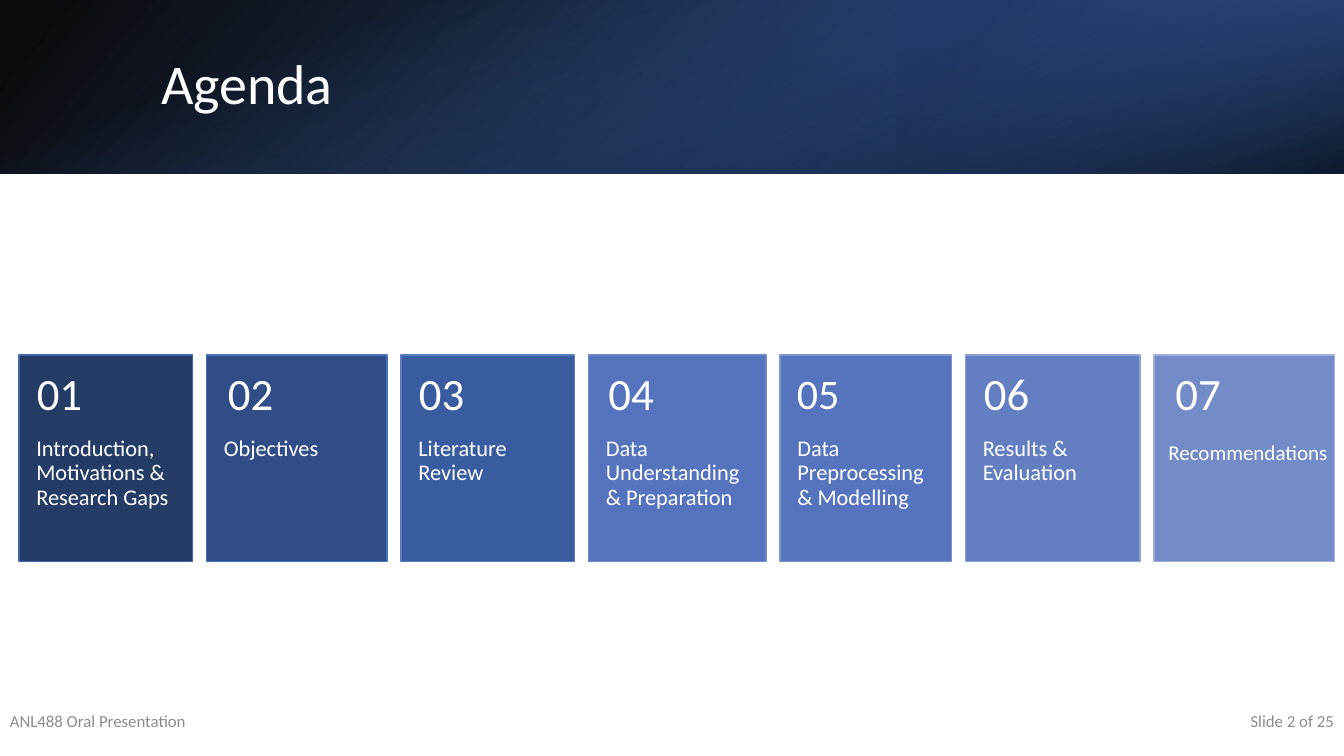
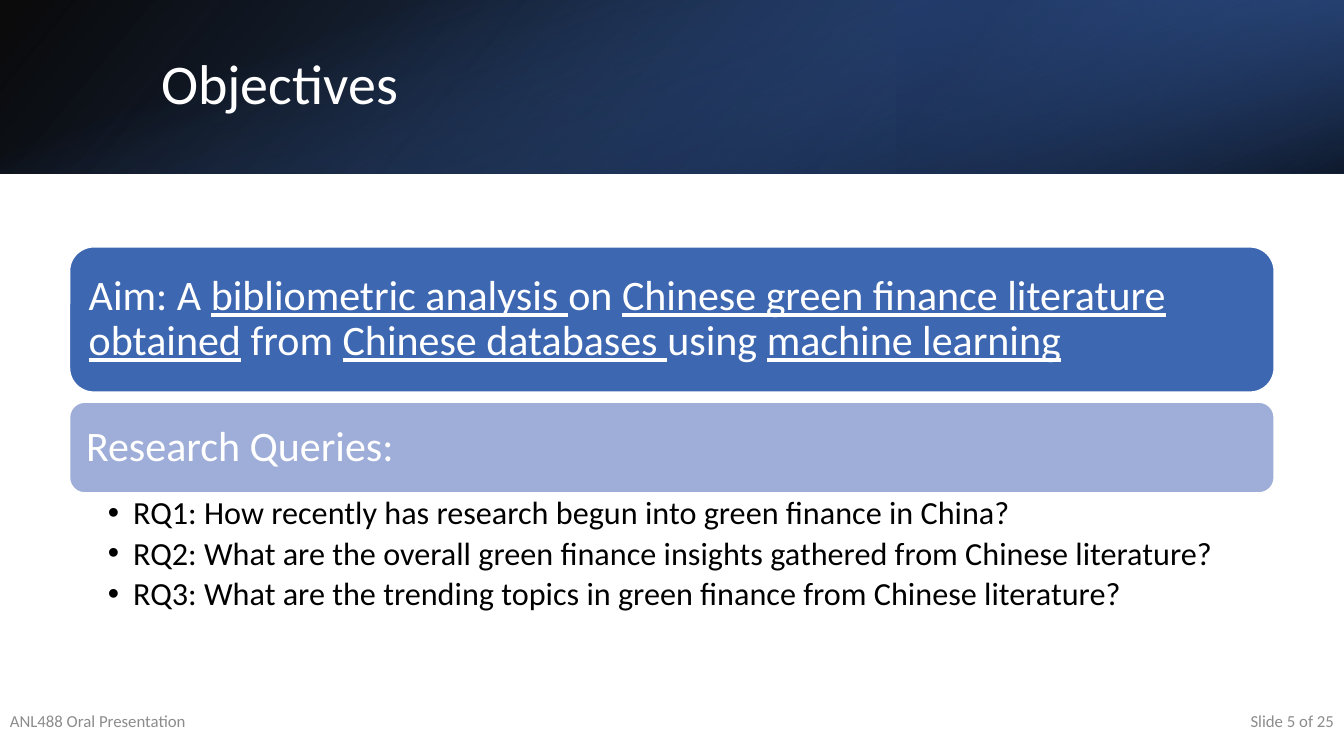
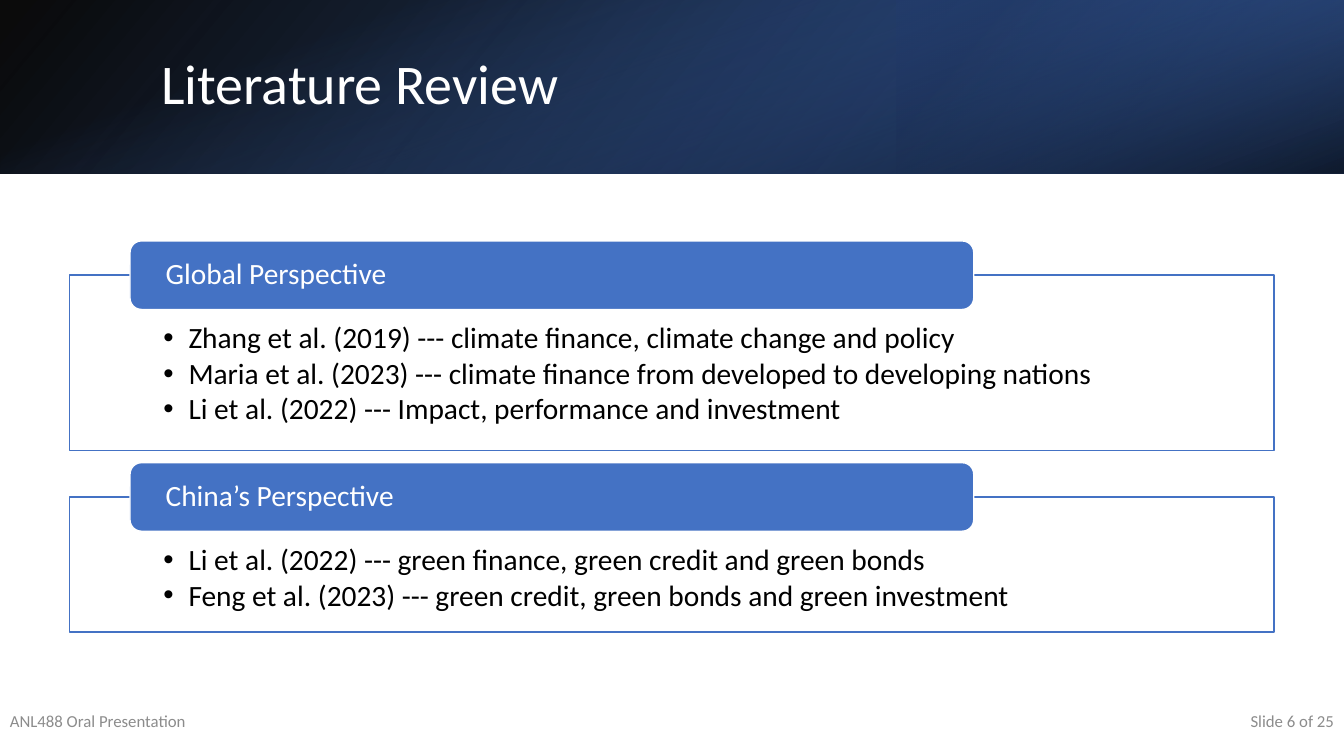
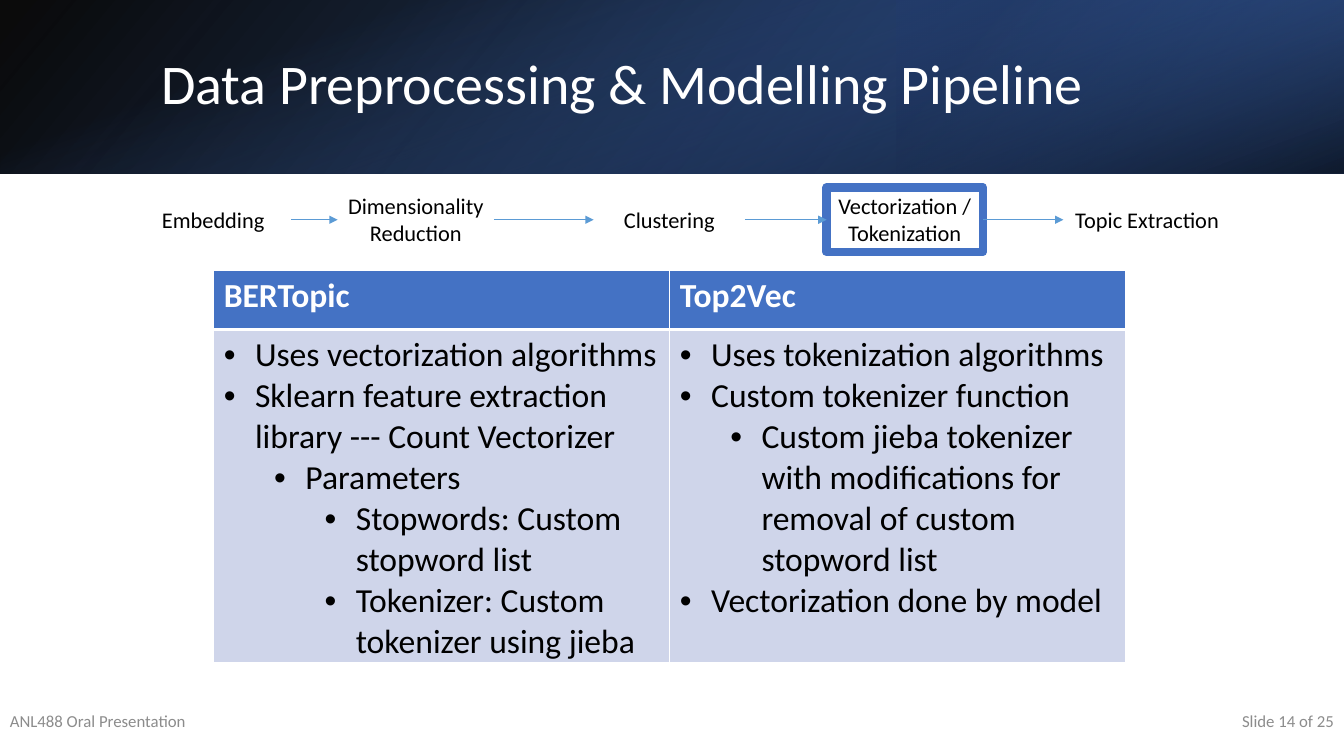
from dataclasses import dataclass
from itertools import pairwise
from typing import NamedTuple

from lxml.etree import SubElement as Sub
from pptx import Presentation
from pptx.dml.color import RGBColor as Rgb
from pptx.enum.shapes import MSO_CONNECTOR as Link, MSO_SHAPE as Kind
from pptx.enum.text import MSO_ANCHOR as Anchor, PP_ALIGN as Align
from pptx.oxml.ns import qn
from pptx.util import Emu, Inches, Pt


# Theme: colours and type sizes
@dataclass(frozen=True)
class Theme:
    font: str = "Calibri"
    white: str = "FFFFFF"
    black: str = "000000"
    grey: str = "8C8C8C"
    blue: str = "4472C4"
    deep: str = "2F5597"
    navy: str = "203864"
    royal: str = "3E67B2"
    mist: str = "9FAED8"
    pale: str = "CFD5EA"
    sky: str = "5B9BD5"
    title: int = 40
    digit: int = 32
    lead: int = 30
    cell: int = 24
    query: int = 23
    body: int = 21
    label: int = 16
    foot: int = 12


T = Theme()

# Grid: 75 rows of square cells
ROWS, WIDE = 75, 133.33
STEP = Inches(7.5) / ROWS
BAND = 17.2
TOTAL = 25


class Box(NamedTuple):
    x: float
    y: float
    w: float
    h: float


class Item(NamedTuple):
    text: str
    level: int = 0


class Stop(NamedTuple):
    place: float
    color: str
    alpha: int


class Layer(NamedTuple):
    box: Box
    turn: int
    flip: bool
    angle: int
    stops: tuple


class Card(NamedTuple):
    label: str
    wide: float
    fill: str
    line: str
    digit: int = T.digit
    size: int = T.label
    pads: tuple = (1.7, 8.2, 1.7, 3.6)


class Panel(NamedTuple):
    head: str
    top: float
    high: float
    items: list


class Phase(NamedTuple):
    name: str
    x: float
    wide: float
    high: float = 3.7
    mark: bool = False


LAYERS = [
    Layer(Box(0, 0, WIDE, BAND), 0, True, 140,
          (Stop(0, T.black, 96), Stop(1, T.deep, 100))),
    Layer(Box(WIDE * 2 / 3, 0, WIDE / 3, BAND), 180, True, 320,
          (Stop(.19, T.navy, 68), Stop(1, T.blue, 79))),
    Layer(Box((WIDE - BAND) / 2, (BAND - WIDE) / 2, BAND, WIDE), 90, False, 340,
          (Stop(.23, T.blue, 0), Stop(.99, T.black, 74))),
]


# Drawing tools
def span(cells: float) -> Emu:
    return Emu(round(cells * STEP))


def place(box: Box) -> list:
    return [span(v) for v in box]


def write(frame, text, *, size, color=T.black, bold=False, align=Align.LEFT,
          anchor=Anchor.TOP, pads=(1, .5, 1, .5), lines=1.0, after=0,
          hang=0, inset=5):
    """Fill a frame with a string or Items; _marks_ underline, hang adds bullets."""
    frame.word_wrap = True
    frame.vertical_anchor = anchor
    (frame.margin_left, frame.margin_top,
     frame.margin_right, frame.margin_bottom) = place(pads)
    items = [Item(text)] if isinstance(text, str) else text
    for i, item in enumerate(items):
        par = frame.add_paragraph() if i else frame.paragraphs[0]
        if hang:
            props = par._p.get_or_add_pPr()
            props.set("marL", str(span(hang + inset * item.level)))
            props.set("indent", str(-span(hang)))
            Sub(props, qn("a:buFont")).set("typeface", "Arial")
            Sub(props, qn("a:buChar")).set("char", "•")
        par.level = item.level
        par.alignment = align
        par.line_spacing = lines
        par.space_after = Pt(after)
        for j, part in enumerate(item.text.split("_")):
            if part:
                run = par.add_run()
                run.text = part
                font = run.font
                font.name, font.size, font.bold = T.font, Pt(size), bold
                font.color.rgb = Rgb.from_string(color)
                font.underline = j % 2 == 1


def label(slide, box: Box, text: str, **style):
    shape = slide.shapes.add_textbox(*place(box))
    write(shape.text_frame, text, **style)
    return shape


def block(slide, box: Box, kind=Kind.RECTANGLE, fill=None, line=None, width=1):
    shape = slide.shapes.add_shape(kind, *place(box))
    shape.shadow.inherit = False
    if fill:
        shape.fill.solid()
        shape.fill.fore_color.rgb = Rgb.from_string(fill)
    else:
        shape.fill.background()
    if line:
        shape.line.color.rgb = Rgb.from_string(line)
        shape.line.width = Pt(width)
    else:
        shape.line.fill.background()
    return shape


def shade(slide, layer: Layer) -> None:
    shape = block(slide, layer.box)
    shape.rotation = layer.turn
    props = shape._element.spPr
    if layer.flip:
        props.find(qn("a:xfrm")).set("flipH", "1")
    shape.fill.gradient()
    shape.fill.gradient_angle = 360 - layer.angle
    grad = props.find(qn("a:gradFill"))
    grad.attrib.pop("rotWithShape", None)
    for mark, stop in zip(shape.fill.gradient_stops, layer.stops):
        mark.position = stop.place
        mark.color.rgb = Rgb.from_string(stop.color)
    for node, stop in zip(grad.iter(qn("a:srgbClr")), layer.stops):
        Sub(node, qn("a:alpha")).set("val", str(stop.alpha * 1000))


def arrow(slide, start, end) -> None:
    link = slide.shapes.add_connector(Link.STRAIGHT, 0, 0, 0, 0)
    link.begin_connect(start, 3)
    link.end_connect(end, 1)
    link.line.color.rgb = Rgb.from_string(T.sky)
    link.line.width = Pt(.5)
    props = link._element.spPr
    Sub(props.find(qn("a:ln")), qn("a:tailEnd")).set("type", "triangle")
    Sub(props, qn("a:effectLst"))


def edge(cell, **widths) -> None:
    props = cell._tc.get_or_add_tcPr()
    for side, width in widths.items():
        line = Sub(props, qn("a:ln" + side))
        line.set("w", str(Pt(width)))
        Sub(Sub(line, qn("a:solidFill")), qn("a:srgbClr")).set("val", T.white)


def start(deck, title: str, page: int):
    """Add a slide with its band, title and footer."""
    slide = deck.slides.add_slide(deck.slide_layouts[6])
    for layer in LAYERS:
        shade(slide, layer)
    label(slide, Box(15, 3.8, 109.8, 9.6), title, size=T.title, color=T.white,
          anchor=Anchor.MIDDLE, lines=.9)
    feet = [(0, "ANL488 Oral Presentation", Align.LEFT),
            (WIDE - 30, f"Slide {page} of {TOTAL}", Align.RIGHT)]
    for x, text, align in feet:
        label(slide, Box(x, 69.5, 30, 4), text, size=T.foot, color=T.grey,
              align=align, anchor=Anchor.MIDDLE)
    return slide


# Slides
def agenda(deck) -> None:
    slide = start(deck, "Agenda", 2)
    cards = [
        Card("Introduction, Motivations & Research Gaps", 17.2, "243C66", T.royal),
        Card("Objectives", 17.9, "304D88", "4871BE"),
        Card("Literature Review", 17.2, "395CA1", "5A7CC3"),
        Card("Data Understanding & Preparation", 17.6, "5674BE", "6C88C8"),
        Card("Data Preprocessing & Modelling", 17, "5674BE", "7D95CD", digit=30),
        Card("Results & Evaluation", 17.3, "637EC1", "8EA1D2"),
        Card("Recommendations", 17.9, "738BC7", T.mist, size=15,
             pads=(1.4, 8.7, 0, 0)),
    ]
    x, top, gap, slot = 1.9, 35.2, 1.4, 17.1
    for n, card in enumerate(cards, 1):
        shape = block(slide, Box(x, top, card.wide, 20.5), fill=card.fill,
                      line=card.line)
        write(shape.text_frame, card.label, size=card.size, color=T.white,
              pads=card.pads, lines=.9)
        label(slide, Box(x + (card.wide - slot) / 2, top, slot, 8.2), f"{n:02}",
              size=card.digit, color=T.white, anchor=Anchor.MIDDLE,
              pads=(1.7, 1.8, 1.7, 1.8), lines=.9)
        x += card.wide + gap


def aims(deck) -> None:
    slide = start(deck, "Objectives", 5)
    bars = [
        (24.5, 14.4, T.royal,
         "Aim: A _bibliometric analysis _on _Chinese green finance literature "
         "obtained_ from _Chinese databases _using _machine learning_"),
        (39.9, 9, T.mist, "Research Queries:"),
    ]
    for y, high, fill, text in bars:
        bar = block(slide, Box(6.9, y, 119.5, high), Kind.ROUNDED_RECTANGLE,
                    fill, T.white)
        write(bar.text_frame, text, size=T.lead, color=T.white,
              anchor=Anchor.MIDDLE, pads=(1.2,) * 4, lines=.9)
    asks = [
        Item("RQ1: How recently has research begun into green finance in China?"),
        Item("RQ2: What are the overall green finance insights gathered from "
             "Chinese literature?"),
        Item("RQ3: What are the trending topics in green finance from "
             "Chinese literature?"),
    ]
    label(slide, Box(6.9, 48.9, 119.5, 13.2), asks, size=T.query,
          pads=(3.8, .4, 2.3, .4), lines=.9, after=4, hang=2.5)


def review(deck) -> None:
    slide = start(deck, "Literature Review", 6)
    panels = [
        Panel("Global Perspective", 27.3, 17.4, [
            Item("Zhang et al. (2019) --- climate finance, climate change and policy"),
            Item("Maria et al. (2023) --- climate finance from developed to "
                 "developing nations"),
            Item("Li et al. (2022) --- Impact, performance and investment"),
        ]),
        Panel("China’s Perspective", 49.3, 13.4, [
            Item("Li et al. (2022) --- green finance, green credit and green bonds"),
            Item("Feng et al. (2023) --- green credit, green bonds and green "
                 "investment"),
        ]),
    ]
    for panel in panels:
        body = block(slide, Box(6.9, panel.top, 119.5, panel.high),
                     fill=T.white, line=T.blue)
        write(body.text_frame, panel.items, size=T.body,
              pads=(9.3, 4.8, 9.3, 1.6), lines=.9, after=2.6, hang=2.5)
        head = block(slide, Box(12.9, panel.top - 3.4, 83.7, 6.8),
                     Kind.ROUNDED_RECTANGLE, T.blue, T.white)
        write(head.text_frame, panel.head, size=T.body, color=T.white,
              anchor=Anchor.MIDDLE, pads=(3.2, 0, 3.2, 0), lines=.9)


def flow(deck) -> None:
    slide = start(deck, "Data Preprocessing & Modelling Pipeline", 14)
    # Steps joined by arrows
    phases = [
        Phase("Embedding", 13.4, 15.5),
        Phase("Dimensionality Reduction", 33.5, 15.5, 6.4),
        Phase("Clustering", 58.9, 15),
        Phase("Vectorization / Tokenization", 82, 15.5, 6.4, True),
        Phase("Topic Extraction", 105.5, 16.6),
    ]
    mid, shapes = 21.8, []
    for phase in phases:
        box = Box(phase.x, mid - phase.high / 2, phase.wide, phase.high)
        style = dict(size=T.label, align=Align.CENTER)
        if phase.mark:
            shape = block(slide, box, line=T.blue, width=6)
            write(shape.text_frame, phase.name, **style)
        else:
            shape = label(slide, box, phase.name, **style)
        shapes.append(shape)
    for left, right in pairwise(shapes):
        arrow(slide, left, right)

    # Table of the two models
    models = {
        "BERTopic": [
            Item("Uses vectorization algorithms"),
            Item("Sklearn feature extraction library --- Count Vectorizer"),
            Item("Parameters", 1),
            Item("Stopwords: Custom stopword list", 2),
            Item("Tokenizer: Custom tokenizer using jieba", 2),
        ],
        "Top2Vec": [
            Item("Uses tokenization algorithms"),
            Item("Custom tokenizer function"),
            Item("Custom jieba tokenizer with modifications for removal of "
                 "custom stopword list", 1),
            Item("Vectorization done by model"),
        ],
    }
    table = slide.shapes.add_table(
        2, len(models), *place(Box(21.2, 26.8, 90.5, 38.9))).table
    for row, high in zip(table.rows, (5.9, 33)):
        row.height = span(high)
    for c, (name, items) in enumerate(models.items()):
        head, body = table.cell(0, c), table.cell(1, c)
        edge(head, L=1, R=1, T=1, B=3)
        edge(body, L=1, R=1, T=3, B=1)
        for cell, fill in ((head, T.blue), (body, T.pale)):
            cell.fill.solid()
            cell.fill.fore_color.rgb = Rgb.from_string(fill)
        write(head.text_frame, name, size=T.cell, color=T.white, bold=True)
        write(body.text_frame, items, size=T.cell, hang=3.1)


def main() -> None:
    deck = Presentation()
    deck.slide_width, deck.slide_height = span(WIDE), span(ROWS)
    for draw in (agenda, aims, review, flow):
        draw(deck)
    deck.save("out.pptx")


if __name__ == "__main__":
    main()
